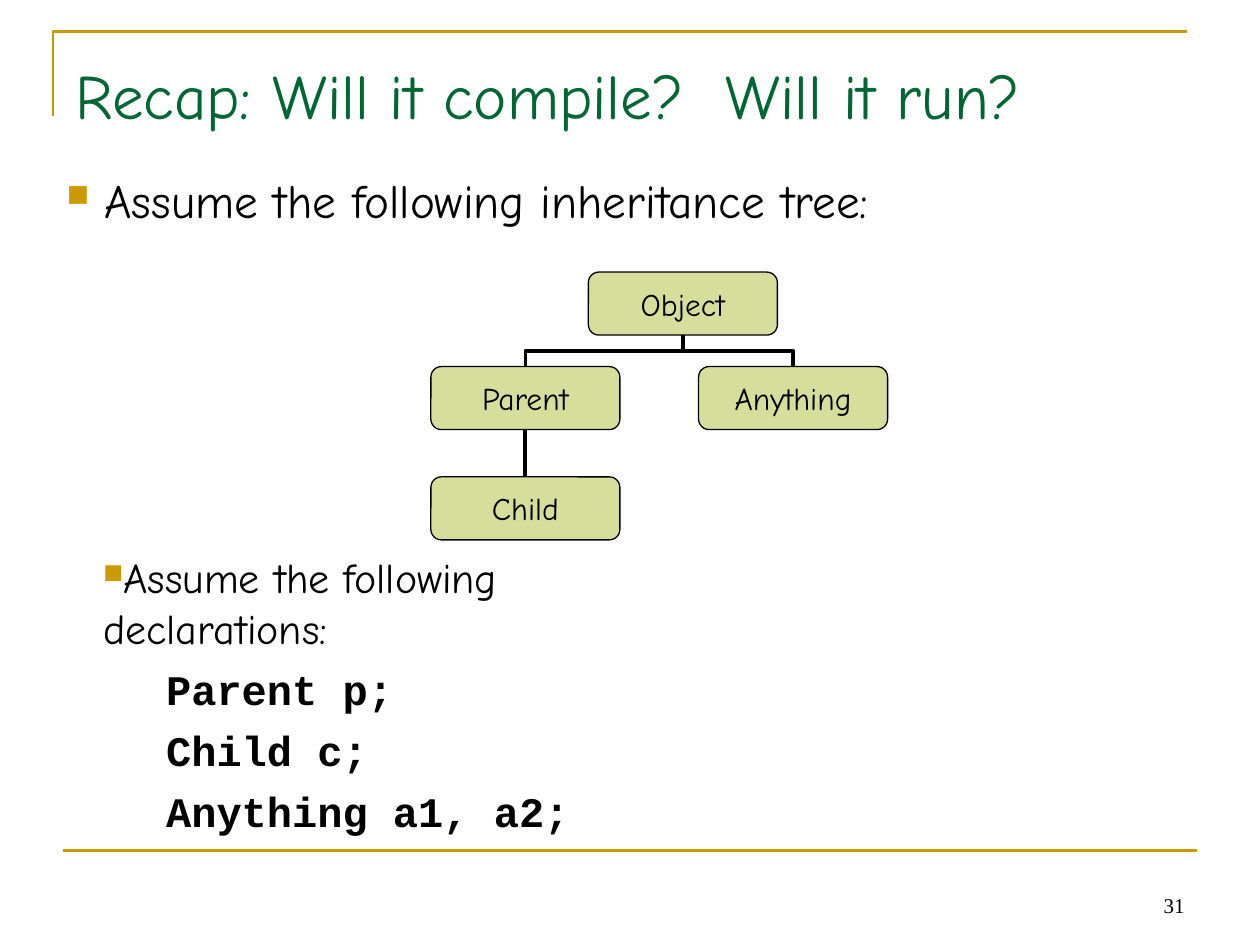
from dataclasses import dataclass
from typing import NamedTuple

from lxml.etree import SubElement
from pptx import Presentation
from pptx.dml.color import RGBColor
from pptx.enum.shapes import MSO_CONNECTOR as Link, MSO_SHAPE as Preset
from pptx.enum.text import MSO_ANCHOR as Anchor, PP_ALIGN as Align
from pptx.oxml.ns import qn
from pptx.util import Inches, Pt

WIDTH, HEIGHT = 10, 7.5
GOLD, GREEN, BLACK, OLIVE = "CC9900", "006633", "000000", "AFBF39"
COMIC, CODE, SERIF = "Comic Neue", "Courier New", "Times New Roman"

# The tree sits on a grid of eighth-inch cells
CELL = 0.125
TREE_LEFT, TREE_TOP = 3.42, 2.16
NODE_COLS, NODE_ROWS = 12, 4
TOP_SITE, BOTTOM_SITE = 0, 2


class Node(NamedTuple):
    label: str
    col: int
    row: int


class Box(NamedTuple):
    left: float
    top: float
    width: float
    height: float


@dataclass
class Line:
    text: str
    size: float
    font: str = COMIC
    color: str = BLACK
    bold: bool = False
    align: Align = Align.LEFT
    before: float = 0
    bullet: bool = False
    level: int = 0
    margin: float = 0
    hanging: float = 0


def rgb(value: str) -> RGBColor:
    return RGBColor.from_string(value)


def add_bullet(props) -> None:
    color = SubElement(props, qn("a:buClr"))
    SubElement(color, qn("a:srgbClr"), val=GOLD)
    SubElement(props, qn("a:buSzPct"), val="65000")
    SubElement(props, qn("a:buChar"), char="■")


def write(frame, lines: list[Line], anchor: Anchor, **insets: float) -> None:
    frame.word_wrap = True
    frame.vertical_anchor = anchor
    for side, inset in insets.items():
        setattr(frame, f"margin_{side}", Inches(inset))
    for index, line in enumerate(lines):
        paragraph = frame.paragraphs[0] if index == 0 else frame.add_paragraph()
        props = paragraph._p.get_or_add_pPr()
        props.set("marL", str(Inches(line.margin)))
        props.set("indent", str(-Inches(line.hanging)))
        if line.bullet:
            add_bullet(props)
        settings = {"alignment": line.align, "level": line.level,
                    "space_before": Pt(line.before)}
        for name, value in settings.items():
            setattr(paragraph, name, value)
        run = paragraph.add_run()
        run.text = line.text
        font_settings = {"name": line.font, "size": Pt(line.size), "bold": line.bold}
        for name, value in font_settings.items():
            setattr(run.font, name, value)
        run.font.color.rgb = rgb(line.color)


def add_text(slide, box: Box, lines: list[Line], anchor: Anchor, **insets: float) -> None:
    holder = slide.shapes.add_textbox(*map(Inches, box))
    write(holder.text_frame, lines, anchor, **insets)


def style_line(shape, color: str, weight: float) -> None:
    shape.line.color.rgb = rgb(color)
    shape.line.width = Pt(weight)


def add_link(slide, kind: Link, start: tuple, end: tuple, color: str, weight: float):
    link = slide.shapes.add_connector(kind, *map(Inches, (*start, *end)))
    style_line(link, color, weight)
    SubElement(link._element.spPr, qn("a:effectLst"))
    return link


def add_frame(slide) -> None:
    """Draw the corner bracket above the title and the rule above the footer."""
    left, top, right, bottom = 0.42, 0.25, 9.42, 0.92
    builder = slide.shapes.build_freeform(Inches(left), Inches(bottom))
    builder.add_line_segments(
        [(Inches(left), Inches(top)), (Inches(right), Inches(top))], close=False)
    bracket = builder.convert_to_shape()
    bracket.shadow.inherit = False
    bracket.fill.background()
    style_line(bracket, GOLD, 1.5)
    rule_y = 0.9 * HEIGHT
    add_link(slide, Link.STRAIGHT, (0.05 * WIDTH, rule_y), (0.95 * WIDTH, rule_y), GOLD, 1.5)


def node_site(node: Node, site: int) -> tuple[float, float]:
    drop = NODE_ROWS if site == BOTTOM_SITE else 0
    return (TREE_LEFT + (node.col + NODE_COLS / 2) * CELL,
            TREE_TOP + (node.row + drop) * CELL)


def add_node(slide, node: Node):
    shape = slide.shapes.add_shape(
        Preset.ROUNDED_RECTANGLE,
        Inches(TREE_LEFT + node.col * CELL), Inches(TREE_TOP + node.row * CELL),
        Inches(NODE_COLS * CELL), Inches(NODE_ROWS * CELL))
    shape.shadow.inherit = False
    shape.fill.solid()
    shape.fill.fore_color.rgb = rgb(OLIVE)
    tint = next(shape._element.spPr.iter(qn("a:srgbClr")))
    SubElement(tint, qn("a:alpha"), val="50000")
    style_line(shape, BLACK, 0.75)
    write(shape.text_frame, [Line(node.label, 18, align=Align.CENTER)], Anchor.MIDDLE)
    return shape


def join_elbow(slide, child: Node, parent: Node, child_shape, parent_shape) -> None:
    """Run an elbow upwards: the preset runs sideways, so it is turned a quarter."""
    x1, y1 = node_site(child, TOP_SITE)
    x2, y2 = node_site(parent, BOTTOM_SITE)
    mid_x, mid_y = (x1 + x2) / 2, (y1 + y2) / 2
    half_run, half_rise = abs(x1 - x2) / 2, (y1 - y2) / 2
    toward = 1 if x1 < x2 else -1
    start = (mid_x + toward * half_rise, mid_y + half_run)
    end = (mid_x - toward * half_rise, mid_y - half_run)
    link = add_link(slide, Link.ELBOW, start, end, BLACK, 2.25)
    link.begin_connect(child_shape, TOP_SITE)
    link.end_connect(parent_shape, BOTTOM_SITE)
    ends = dict(zip(("begin_x", "begin_y", "end_x", "end_y"), (*start, *end)))
    for name, value in ends.items():
        setattr(link, name, Inches(value))
    quarter_turns = 1 if toward > 0 else 3
    link._element.spPr.find(qn("a:xfrm")).set("rot", str(quarter_turns * 5400000))


def add_tree(slide) -> None:
    root, parent = Node("Object", 10, 0), Node("Parent", 0, 6)
    child, other = Node("Child", 0, 13), Node("Anything", 17, 6)
    shapes = {node: add_node(slide, node) for node in (root, parent, child, other)}
    for branch in (other, parent):
        join_elbow(slide, branch, root, shapes[branch], shapes[root])
    stem = add_link(slide, Link.STRAIGHT, node_site(child, TOP_SITE),
                    node_site(parent, BOTTOM_SITE), BLACK, 2.25)
    stem.begin_connect(shapes[child], TOP_SITE)
    stem.end_connect(shapes[parent], BOTTOM_SITE)


def main() -> None:
    deck = Presentation()
    deck.slide_width, deck.slide_height = Inches(WIDTH), Inches(HEIGHT)
    slide = deck.slides.add_slide(deck.slide_layouts[6])
    add_frame(slide)
    add_text(slide, Box(7.17, 6.83, 2.33, 0.5),
             [Line("31", 12, SERIF, align=Align.RIGHT)], Anchor.BOTTOM)
    add_text(slide, Box(0.5, 0.3, 9, 0.85),
             [Line("Recap: Will it compile?  Will it run?", 36, color=GREEN)],
             Anchor.BOTTOM, bottom=0.1)
    add_text(slide, Box(0.43, 1.31, 9, 4.95),
             [Line("Assume the following inheritance tree:", 27, bullet=True,
                   margin=0.3, hanging=0.3)], Anchor.TOP)
    declarations = ("Parent p;", "Child c;", "Anything a1, a2;")
    add_text(slide, Box(0.72, 4.53, 5.23, 1.95),
             [Line("Assume the following declarations:", 24, bullet=True)]
             + [Line(code, 24, CODE, bold=True, before=6, level=1, margin=0.5)
                for code in declarations],
             Anchor.MIDDLE, right=0.5)
    add_tree(slide)
    deck.save("out.pptx")


if __name__ == "__main__":
    main()
